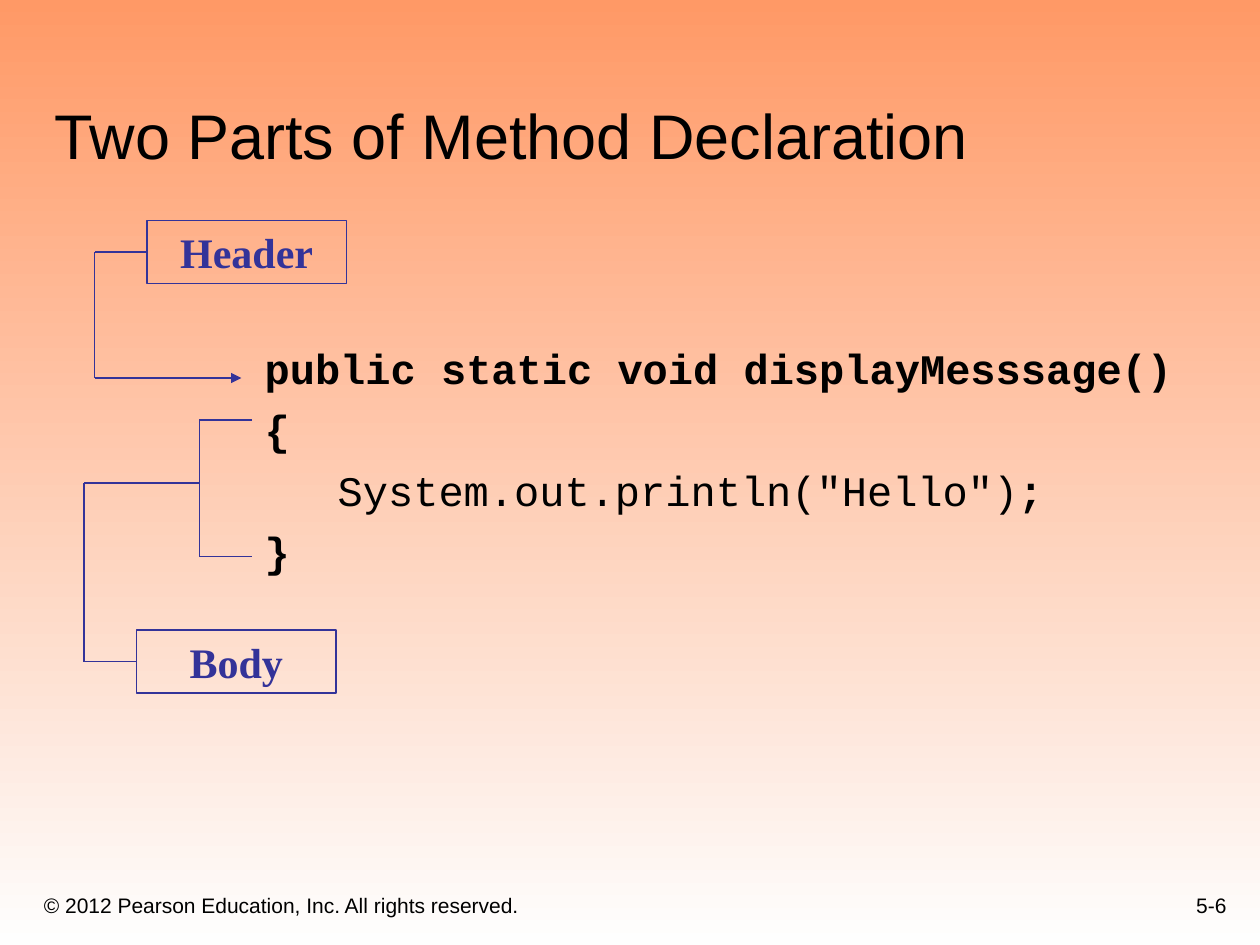
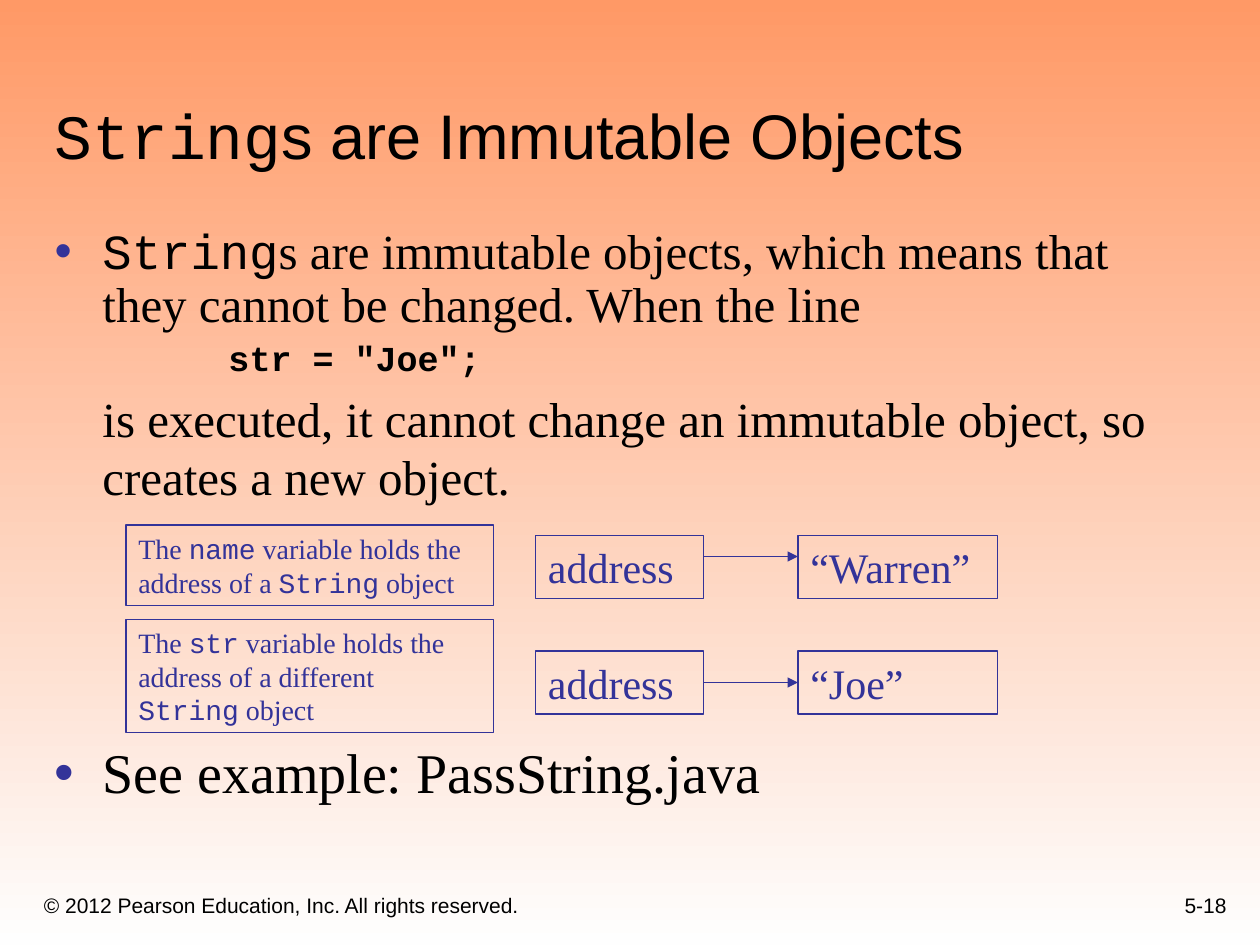
import pptx
import pptx.util
import pptx.dml.color
import pptx.enum.shapes
import pptx.enum.text
import pptx.oxml
import pptx.oxml.ns

COLORS = {"top": "FF9966", "bottom": "FEFEFE", "text": "000000", "accent": "333399"}
SANS, SERIF, CODE = "Arial", "Times New Roman", "Courier New"
ALIGN = pptx.enum.text.PP_ALIGN
ANCHOR = pptx.enum.text.MSO_ANCHOR
COPYRIGHT = "© 2012 Pearson Education, Inc. All rights reserved."

# The slide is a grid of 120 columns by 90 rows
WIDTH, HEIGHT = pptx.util.Inches(10), pptx.util.Inches(7.5)
COLUMN, ROW = WIDTH / 120, HEIGHT / 90
HANGING = 0.38


def color(name):
    return pptx.dml.color.RGBColor.from_string(COLORS[name])


def cells(column, row, columns, rows):
    return (round(column * COLUMN), round(row * ROW),
            round(columns * COLUMN), round(rows * ROW))


def add_xml(parent, tag, **attributes):
    element = pptx.oxml.parse_xml(f"<{tag} {pptx.oxml.ns.nsdecls('a')}/>")
    for name, value in attributes.items():
        element.set(name, value)
    parent.append(element)
    return element


# Text
def write(paragraph, text, size, font, ink="text", bold=False):
    """Write text in one font; parts between backticks take the code font."""
    for index, part in enumerate(text.split("`")):
        if part:
            run = paragraph.add_run()
            run.text = part
            run.font.name = CODE if index % 2 else font
            run.font.size = pptx.util.Pt(size)
            run.font.bold = bold
            run.font.color.rgb = color(ink)


def set_indent(paragraph, left, first=0, bullet=False):
    properties = paragraph._p.get_or_add_pPr()
    properties.set("marL", str(pptx.util.Inches(left)))
    properties.set("indent", str(pptx.util.Inches(first)))
    if bullet:
        add_xml(add_xml(properties, "a:buClr"), "a:srgbClr", val=COLORS["accent"])
        add_xml(properties, "a:buFont", typeface=SANS)
        add_xml(properties, "a:buChar", char="•")
    else:
        add_xml(properties, "a:buNone")


def place_text(shape, area, anchor, right_inset=0.1):
    shape.left, shape.top, shape.width, shape.height = cells(*area)
    frame = shape.text_frame
    frame.word_wrap = True
    frame.auto_size = pptx.enum.text.MSO_AUTO_SIZE.NONE
    frame.vertical_anchor = anchor
    frame.margin_right = pptx.util.Inches(right_inset)
    return frame


def add_paragraph(frame, index, space, line_spacing=1.0):
    paragraph = frame.add_paragraph() if index else frame.paragraphs[0]
    paragraph.space_before = pptx.util.Pt(space if index else 0)
    paragraph.line_spacing = line_spacing
    return paragraph


# Shared slide parts
def set_background(master):
    fill = master.background.fill
    fill.gradient()
    fill.gradient_angle = 270
    for stop, name in zip(fill.gradient_stops, ("top", "bottom")):
        stop.color.rgb = color(name)


def add_footer(slide, text, area, alignment):
    box = slide.shapes.add_textbox(*cells(*area))
    paragraph = place_text(box, area, ANCHOR.BOTTOM).paragraphs[0]
    paragraph.alignment = alignment
    write(paragraph, text, 12, SANS)


def add_slide(presentation, title, number):
    slide = presentation.slides.add_slide(presentation.slide_layouts[1])
    frame = place_text(slide.shapes.title, (4, 4, 113, 13), ANCHOR.BOTTOM)
    frame.paragraphs[0].alignment = ALIGN.LEFT
    write(frame.paragraphs[0], title, 36, SANS)
    add_footer(slide, COPYRIGHT, (3, 83, 73, 5), ALIGN.LEFT)
    add_footer(slide, number, (93, 82, 25, 6), ALIGN.RIGHT)
    return slide


# Diagram parts
def add_box(slide, text, area, size=24, alignment=ALIGN.LEFT, bold=False):
    box = slide.shapes.add_shape(pptx.enum.shapes.MSO_SHAPE.RECTANGLE, *cells(*area))
    box.shadow.inherit = False
    box.fill.background()
    box.line.color.rgb = color("accent")
    box.line.width = pptx.util.Pt(0.75)
    paragraph = place_text(box, area, ANCHOR.MIDDLE).paragraphs[0]
    paragraph.alignment = alignment
    write(paragraph, text, size, SERIF, "accent", bold)


def add_route(slide, points, arrow=False):
    """Join grid points by straight lines, with an optional arrowhead at the end."""
    for start, end in zip(points, points[1:]):
        line = slide.shapes.add_connector(
            pptx.enum.shapes.MSO_CONNECTOR.STRAIGHT, *cells(*start, *end))
        line.line.color.rgb = color("accent")
        line.line.width = pptx.util.Pt(0.75)
        if arrow and end == points[-1]:
            add_xml(line.line._get_or_add_ln(), "a:tailEnd", type="triangle")
        add_xml(line._element.spPr, "a:effectLst")


# Slides
def build_method_slide(presentation):
    slide = add_slide(presentation, "Two Parts of Method Declaration", "5-6")
    frame = place_text(slide.placeholders[1], (24, 32, 91, 28), ANCHOR.TOP, 0)
    code_lines = [
        ("public static void displayMesssage()", "", 0),
        ("{", "", 0),
        (";", ' System.out.println("Hello")', HANGING),
        ("}", "", 0),
    ]
    for index, (bold_text, plain_text, indent) in enumerate(code_lines):
        paragraph = add_paragraph(frame, index, 6)
        set_indent(paragraph, indent)
        write(paragraph, plain_text, 24, CODE)
        write(paragraph, bold_text, 24, CODE, bold=True)

    add_box(slide, "Header", (14, 21, 19, 6), alignment=ALIGN.CENTER, bold=True)
    add_box(slide, "Body", (13, 60, 19, 6), alignment=ALIGN.CENTER, bold=True)
    add_route(slide, [(14, 24), (9, 24), (9, 36), (23, 36)], arrow=True)
    add_route(slide, [(24, 40), (19, 40), (19, 53), (24, 53)])
    add_route(slide, [(19, 46), (8, 46), (8, 63), (13, 63)])


def build_string_slide(presentation):
    slide = add_slide(presentation, "`String`s are Immutable Objects", "5-18")
    frame = place_text(slide.placeholders[1], (4, 21, 109, 60), ANCHOR.TOP, 0)

    # Text, size, font, left indent, bullet, space before, line spacing
    items = [
        ("`String`s are immutable objects, which means that they cannot be changed. "
         "When the line", 28, SERIF, HANGING, True, 0, 0.9),
        ('str = "Joe";', 20, CODE, HANGING + 1, False, 5, 0.9),
        ("is executed, it cannot change an immutable object, so creates a new object.",
         28, SERIF, HANGING, False, 7, 0.98),
        ("See example: PassString.java", 32, SERIF, HANGING, True, 136, 0.9),
    ]
    for index, (text, size, font, left, bullet, space, spacing) in enumerate(items):
        paragraph = add_paragraph(frame, index, space, spacing)
        set_indent(paragraph, left, -HANGING if bullet else 0, bullet)
        write(paragraph, text, size, font, bold=font == CODE)

    # Each variable: caption, its row and height, value, box row, arrow row
    variables = [
        ("The `name` variable holds the address of a `String` object",
         50, 7.7, "“Warren”", 51, 53),
        ("The `str` variable holds the address of a different `String` object",
         59, 10.8, "“Joe”", 62, 65),
    ]
    for caption, caption_row, caption_rows, value, box_row, arrow_row in variables:
        add_box(slide, caption, (12, caption_row, 35, caption_rows), size=16)
        add_box(slide, "address", (51, box_row, 16, 6))
        add_box(slide, value, (76, box_row, 19, 6))
        add_route(slide, [(67, arrow_row), (76, arrow_row)], arrow=True)


def main():
    presentation = pptx.Presentation()
    presentation.slide_width, presentation.slide_height = WIDTH, HEIGHT
    set_background(presentation.slide_master)
    build_method_slide(presentation)
    build_string_slide(presentation)
    presentation.save("out.pptx")


if __name__ == "__main__":
    main()
